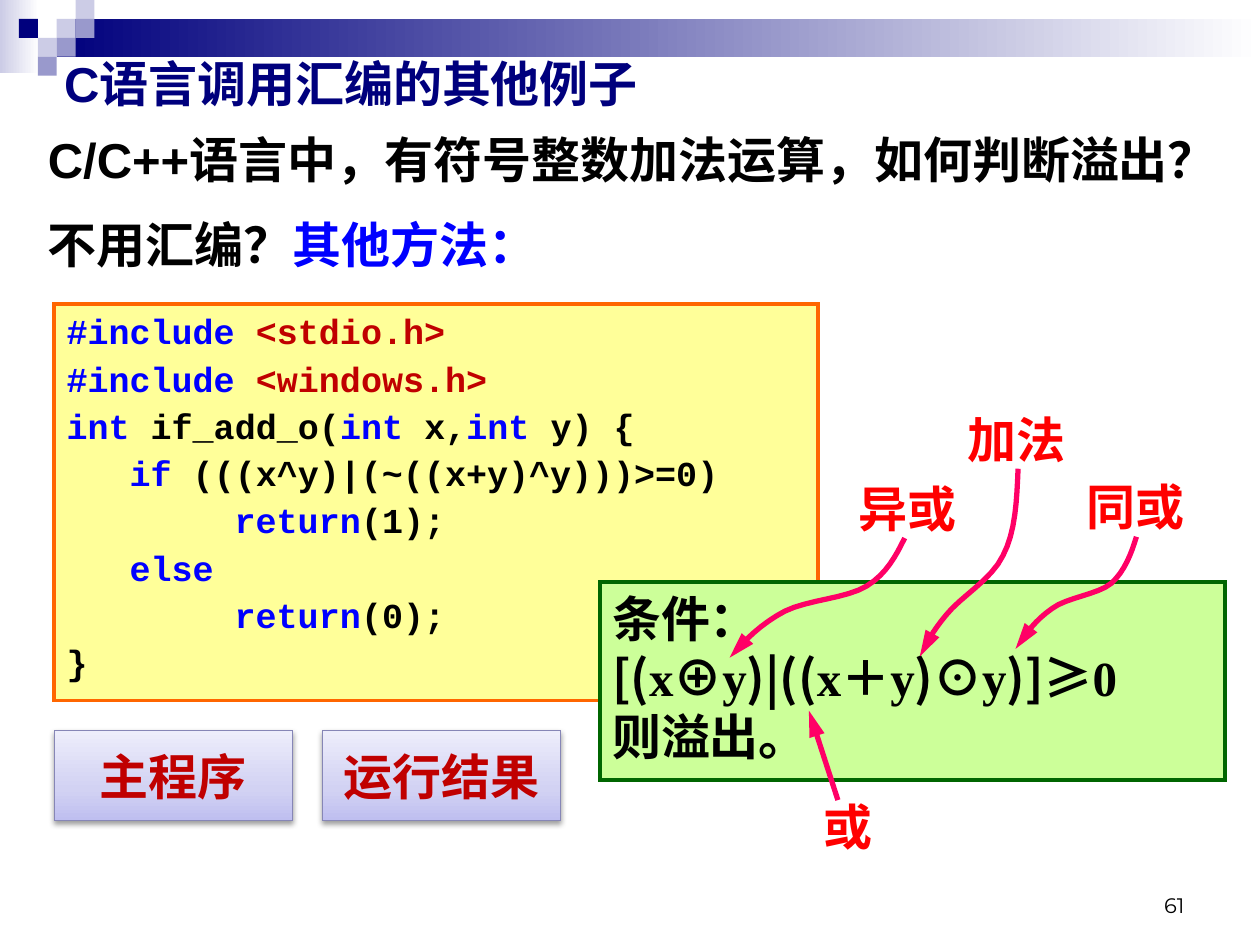
from lxml import etree
from pptx import Presentation
from pptx import util as u
from pptx.dml.color import RGBColor
from pptx.enum import shapes, text
from pptx.oxml import parse_xml
from pptx.oxml.ns import nsdecls, qn

Inches, Pt = u.Inches, u.Pt
color = RGBColor.from_string
RECT = shapes.MSO_SHAPE.RECTANGLE
NAVY, BLUE, RED, BLACK, PINK = "00007D", "0000FF", "C00000", "000000", "FF0066"
LILAC, VIOLET = "CCCCE6", "9999CC"

prs = Presentation()
prs.slide_width, prs.slide_height = Inches(10), Inches(7.5)
slide = prs.slides.add_slide(prs.slide_layouts[1])


def panel(kind, box, fill, line=None, width=2.25, angle=0):
    shape = slide.shapes.add_shape(kind, *map(Inches, box))
    shape.shadow.inherit = False
    if isinstance(fill, str):
        shape.fill.solid()
        shape.fill.fore_color.rgb = color(fill)
    else:
        shape.fill.gradient()
        gradient = shape._element.spPr.find(qn("a:gradFill"))
        stops = gradient.find(qn("a:gsLst"))
        stops.clear()
        for position, shade in fill:
            stop = etree.SubElement(stops, qn("a:gs"), pos=str(position * 1000))
            etree.SubElement(stop, qn("a:srgbClr"), val=shade)
        gradient.find(qn("a:lin")).set("ang", str(angle * 60000))
    if line:
        shape.line.color.rgb = color(line)
        shape.line.width = Pt(width)
        etree.SubElement(shape._element.spPr.find(qn("a:ln")), qn("a:miter"), lim="800000")
    else:
        shape.line.fill.background()
    return shape


def write(paragraph, runs, size=28, font="Arial", bold=True, align=text.PP_ALIGN.LEFT):
    paragraph.alignment = align
    paragraph.font.size, paragraph.font.bold = Pt(size), bold
    paragraph.font.name = font
    for words, shade, *face in runs:
        run = paragraph.add_run()
        run.text = words
        run.font.color.rgb = color(shade)
        if face:
            run.font.name = face[0]


panel(RECT, (0, 0, 0.31, 0.58), [(0, LILAC), (100, "FFFFFF")])
panel(RECT, (0.45, 0.15, 9.55, 0.3), [(0, NAVY), (100, "FFFFFF")])
for column, row, shade in [(3, 1, LILAC), (4, 0, LILAC), (4, 1, VIOLET), (2, 2, LILAC),
                           (1, 1, NAVY), (3, 2, VIOLET), (2, 3, VIOLET)]:
    panel(RECT, (column * 0.15, row * 0.15, 0.15, 0.15), shade)

title, question = slide.placeholders
for holder, box, words, shade, anchor in [
    (title, (0.41, 0.37, 9, 0.57), "C语言调用汇编的其他例子", NAVY, text.MSO_ANCHOR.MIDDLE),
    (question, (0.28, 0.98, 9.69, 0.73), "C/C++语言中，有符号整数加法运算，如何判断溢出？",
     BLACK, text.MSO_ANCHOR.TOP),
]:
    holder.left, holder.top, holder.width, holder.height = map(Inches, box)
    holder.text_frame.auto_size = text.MSO_AUTO_SIZE.NONE
    holder.text_frame.vertical_anchor = anchor
    line = holder.text_frame.paragraphs[0]
    line.space_before = Pt(0)
    properties = line._p.get_or_add_pPr()
    properties.set("marL", "0")
    properties.set("indent", "0")
    etree.SubElement(properties, qn("a:buNone"))
    write(line, [(words, shade)])

page_number = slide.shapes.add_textbox(*map(Inches, (7.17, 6.83, 2.33, 0.5))).text_frame
page_number.word_wrap = True
page_number.vertical_anchor = text.MSO_ANCHOR.BOTTOM
write(page_number.paragraphs[0], [("61", BLACK)], 12, "Montserrat", False, text.PP_ALIGN.RIGHT)

method = slide.shapes.add_textbox(*map(Inches, (0.28, 1.65, 9.69, 1.24))).text_frame
method.word_wrap = True
write(method.paragraphs[0], [("不用汇编？", BLACK), ("其他方法：", BLUE)])

code_lines = [
    [("#include ", BLUE), ("<stdio.h>", RED)],
    [("#include ", BLUE), ("<windows.h>", RED)],
    [("int", BLUE), (" if_add_o(", BLACK), ("int", BLUE), (" x,", BLACK), ("int", BLUE),
     (" y) {", BLACK)],
    [("   if", BLUE), (" (((x^y)|(~((x+y)^y)))>=0)", BLACK)],
    [("        return", BLUE), ("(1);", BLACK)],
    [("   else", BLUE)],
    [("        return", BLUE), ("(0);", BLACK)],
    [("}", BLACK)],
]
code = panel(RECT, (0.43, 2.41, 6.06, 3.15), "FFFF99", "FF6600").text_frame
code.vertical_anchor = text.MSO_ANCHOR.TOP
for index, runs in enumerate(code_lines):
    line = code.add_paragraph() if index else code.paragraphs[0]
    line.space_before = Pt(3 if index else 0)
    write(line, runs, 20, "Courier New")

for left, words in [(0.43, "主程序"), (2.56, "运行结果")]:
    button = panel(shapes.MSO_SHAPE.ACTION_BUTTON_CUSTOM, (left, 5.8, 1.89, 0.71),
                   [(0, "BFBFF0"), (35, "D2D2F3"), (100, "EDEDFB")], "8686B6", 0.75, 270)
    button._element.spPr.find(qn("a:effectLst")).append(parse_xml(
        f'<a:outerShdw {nsdecls("a")} blurRad="{Pt(3.1)}" dist="{Pt(1.6)}" dir="5400000" '
        'rotWithShape="0"><a:srgbClr val="000000"><a:alpha val="38000"/></a:srgbClr></a:outerShdw>'))
    button.text_frame.word_wrap = False
    button.text_frame.vertical_anchor = text.MSO_ANCHOR.MIDDLE
    write(button.text_frame.paragraphs[0], [(words, RED)], align=text.PP_ALIGN.CENTER)

SYMBOLS, LETTERS = "Noto Sans CJK SC", "Times New Roman"
formula = ["[(", "x", "⊕", "y", ")|((", "x＋y", ")⊙", "y", ")]≥", "0"]
condition_lines = [
    [("条件：", BLACK)],
    [(part, BLACK, (SYMBOLS, LETTERS)[index % 2]) for index, part in enumerate(formula)],
    [("则溢出。", BLACK)],
]
condition = panel(RECT, (4.76, 4.62, 4.96, 1.57), "CCFF99", "006600").text_frame
condition.vertical_anchor = text.MSO_ANCHOR.TOP
for index, runs in enumerate(condition_lines):
    line = condition.add_paragraph() if index else condition.paragraphs[0]
    line.line_spacing = Pt(33.7)
    write(line, runs)

for left, top, words in [(6.65, 3.75, "异或"), (7.52, 3.2, "加法"), (8.46, 3.73, "同或"),
                         (6.18, 6.27, "或")]:
    operator = slide.shapes.add_textbox(*map(Inches, (left, top, 1.1, 0.57))).text_frame
    operator.word_wrap = True
    write(operator.paragraphs[0], [(words, "FF0000")], align=text.PP_ALIGN.CENTER)

curves = [
    [(7.18, 4.27), (7.11, 4.41), (7.04, 4.55), (6.88, 4.65), (6.72, 4.75), (6.41, 4.76),
     (6.23, 4.85), (6.04, 4.95), (5.91, 5.08), (5.79, 5.22)],
    [(8.08, 3.72), (8.07, 3.97), (8.06, 4.22), (7.96, 4.41), (7.87, 4.6), (7.62, 4.74),
     (7.51, 4.88), (7.4, 5.01), (7.35, 5.11), (7.3, 5.21)],
    [(9.02, 4.26), (8.98, 4.39), (8.93, 4.53), (8.82, 4.63), (8.71, 4.72), (8.47, 4.74),
     (8.35, 4.83), (8.22, 4.92), (8.14, 5.03), (8.06, 5.15)],
]
STEPS = 8
pointers = []
for curve in curves:
    points = []
    for start in range(0, len(curve) - 1, 3):
        for step in range(1, STEPS + 1):
            t = step / STEPS
            weights = ((1 - t) ** 3, 3 * t * (1 - t) ** 2, 3 * t * t * (1 - t), t ** 3)
            points.append([Inches(sum(w * p[axis] for w, p in zip(weights, curve[start:start + 4])))
                           for axis in (0, 1)])
    builder = slide.shapes.build_freeform(*map(Inches, curve[0]))
    builder.add_line_segments(points, close=False)
    pointer = builder.convert_to_shape()
    pointer.fill.background()
    pointer.shadow.inherit = False
    pointers.append(pointer)

or_pointer = slide.shapes.add_connector(
    shapes.MSO_CONNECTOR.STRAIGHT, *map(Inches, (6.65, 6.35, 6.42, 5.64)))
pointers.append(or_pointer)
for pointer in pointers:
    pointer.line.color.rgb = color(PINK)
    pointer.line.width = Pt(3)
    etree.SubElement(pointer._element.spPr.find(qn("a:ln")), qn("a:tailEnd"),
                     type="triangle", w="med", len="lg")
etree.SubElement(or_pointer._element.spPr, qn("a:effectLst"))

prs.save("out.pptx")
